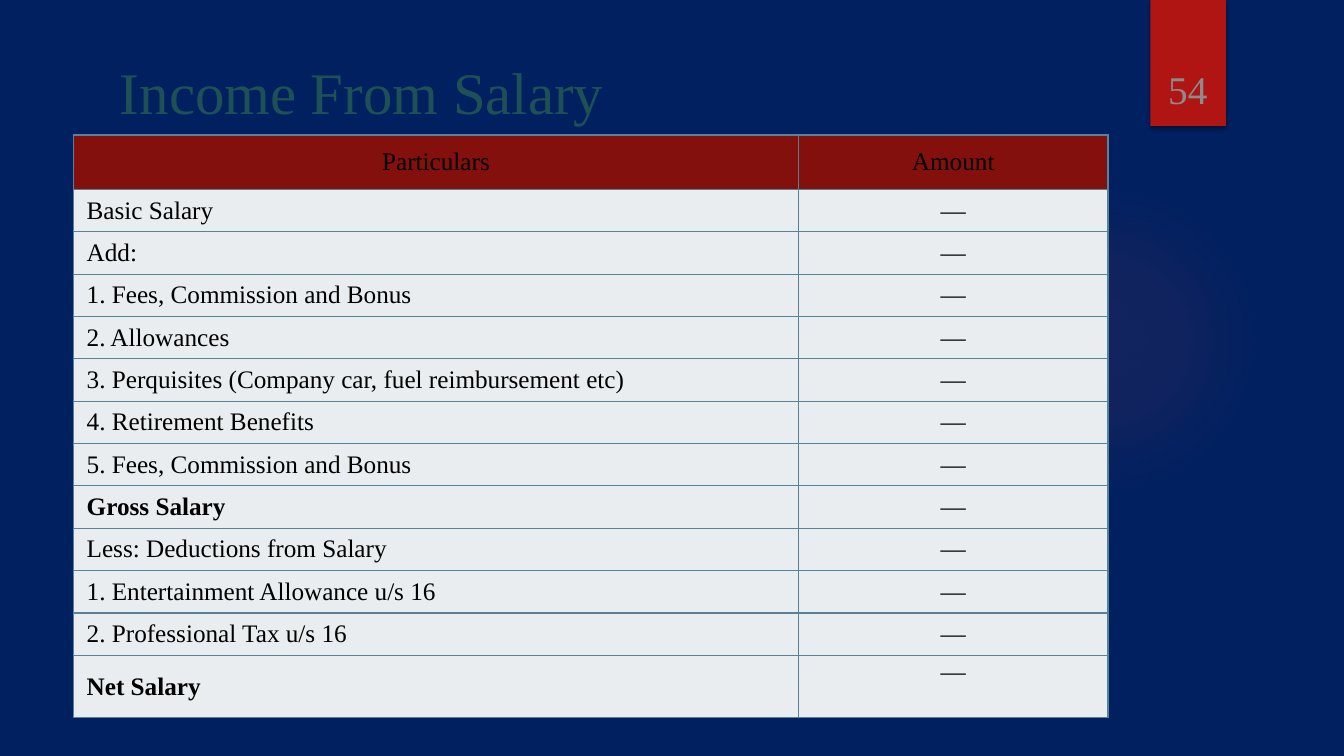
from lxml import etree
from pptx import Presentation
from pptx import oxml
from pptx.dml.color import RGBColor
from pptx.enum import shapes, text
from pptx.oxml.ns import nsdecls
from pptx.util import Inches, Pt

FONT = "Times New Roman"
COLORS = {
    "background": "002060",
    "glow": "ED5654",
    "ribbon": "B01513",
    "number": "8C8C8C",
    "title": "1E5155",
    "header": "84100E",
    "body": "E9EDEF",
    "border": "54849A",
    "text": "000000",
}
DASH = "—"
PARTICULARS = [
    "Basic Salary",
    "Add:",
    "1. Fees, Commission and Bonus",
    "2. Allowances",
    "3. Perquisites (Company car, fuel reimbursement etc)",
    "4. Retirement Benefits",
    "5. Fees, Commission and Bonus",
    "Gross Salary",
    "Less: Deductions from Salary",
    "1. Entertainment Allowance u/s 16",
    "2. Professional Tax u/s 16",
    "Net Salary",
]
TOTALS = ("Gross Salary", "Net Salary")


def color(name):
    return RGBColor.from_string(COLORS[name])


def place(shape, left, top, width, height):
    shape.left, shape.top = Inches(left), Inches(top)
    shape.width, shape.height = Inches(width), Inches(height)


def write(frame, content, size=18, ink="text", bold=False, align=text.PP_ALIGN.LEFT):
    paragraph = frame.paragraphs[0]
    paragraph.alignment = align
    run = paragraph.add_run()
    run.text = content
    run.font.name, run.font.size, run.font.bold = FONT, Pt(size), bold
    run.font.color.rgb = color(ink)


def add_plain_shape(slide, kind, left, top, width, height, fill):
    shape = slide.shapes.add_shape(
        kind, Inches(left), Inches(top), Inches(width), Inches(height))
    shape.shadow.inherit = False
    shape.fill.solid()
    shape.fill.fore_color.rgb = color(fill)
    shape.line.fill.background()
    return shape


def add_glow(slide, left, top, size):
    """Add a circle that fades out from its centre."""
    glow = add_plain_shape(slide, shapes.MSO_SHAPE.OVAL, left, top, size, size, "glow")
    stops = "".join(
        f'<a:gs pos="{position * 1000}"><a:srgbClr val="{COLORS["glow"]}">'
        f'<a:alpha val="{alpha * 1000}"/></a:srgbClr></a:gs>'
        for position, alpha in ((0, 7), (36, 6), (69, 0), (100, 0)))
    gradient = oxml.parse_xml(
        f'<a:gradFill {nsdecls("a")}><a:gsLst>{stops}</a:gsLst><a:path path="circle">'
        '<a:fillToRect l="50000" t="50000" r="50000" b="50000"/></a:path></a:gradFill>')
    properties = glow.element.spPr
    properties.replace(properties.find("{*}solidFill"), gradient)


def add_page_ribbon(slide, left, top, width, height, number):
    ribbon = add_plain_shape(
        slide, shapes.MSO_SHAPE.RECTANGLE, left, top, width, height, "ribbon")
    ribbon.element.spPr.find("{*}effectLst").append(oxml.parse_xml(
        f'<a:outerShdw {nsdecls("a")} blurRad="{Pt(3)}" dist="{Pt(2)}" dir="5400000">'
        f'<a:srgbClr val="{COLORS["text"]}"><a:alpha val="45000"/></a:srgbClr></a:outerShdw>'))
    box = slide.shapes.add_textbox(
        Inches(left - 0.09), Inches(top + 0.32), Inches(width + 0.17), Inches(0.84))
    box.text_frame.word_wrap = True
    box.text_frame.vertical_anchor = text.MSO_ANCHOR.BOTTOM
    write(box.text_frame, number, size=28, ink="number", align=text.PP_ALIGN.CENTER)


def add_title(slide, left, top, width, height, content):
    title = slide.shapes.title
    place(title, left, top, width, height)
    title.text_frame.vertical_anchor = text.MSO_ANCHOR.TOP
    write(title.text_frame, content, size=42, ink="title")


def add_borders(cell):
    properties = cell._tc.get_or_add_tcPr()
    for position, side in enumerate(("lnL", "lnR", "lnT", "lnB")):
        line = oxml.parse_xml(
            f'<a:{side} {nsdecls("a")} w="{Pt(1)}"><a:solidFill>'
            f'<a:srgbClr val="{COLORS["border"]}"/></a:solidFill></a:{side}>')
        properties.insert(position, line)


def format_cell(cell, content, fill, margins=(0.13, 0.06),
                anchor=text.MSO_ANCHOR.MIDDLE, **font):
    cell.margin_left = cell.margin_right = Inches(margins[0])
    cell.margin_top = cell.margin_bottom = Inches(margins[1])
    cell.vertical_anchor = anchor
    cell.fill.solid()
    cell.fill.fore_color.rgb = color(fill)
    add_borders(cell)
    write(cell.text_frame, content, **font)


def add_salary_table(slide, left, top, widths, heights):
    table = slide.shapes.add_table(
        len(heights), len(widths), Inches(left), Inches(top),
        Inches(sum(widths)), Inches(sum(heights))).table
    for column, width in zip(table.columns, widths):
        column.width = Inches(width)
    for row, height in zip(table.rows, heights):
        row.height = Inches(height)
    center = text.PP_ALIGN.CENTER
    for column, heading in enumerate(("Particulars", "Amount")):
        format_cell(table.cell(0, column), heading, "header",
                    margins=(0.13, 0.12), align=center)
    for row, particular in enumerate(PARTICULARS, 1):
        format_cell(table.cell(row, 0), particular, "body", bold=particular in TOTALS)
        amount = {"align": center}
        if row == len(PARTICULARS):
            amount.update(margins=(0.06, 0.03), anchor=text.MSO_ANCHOR.TOP)
        format_cell(table.cell(row, 1), DASH, "body", **amount)


def main():
    presentation = Presentation()
    presentation.slide_width, presentation.slide_height = Inches(13.33), Inches(7.5)
    slide = presentation.slides.add_slide(presentation.slide_layouts[5])
    slide.background.fill.solid()
    slide.background.fill.fore_color.rgb = color("background")
    add_glow(slide, 9.41, 1.83, 3.08)
    add_page_ribbon(slide, 11.41, 0, 0.75, 1.25, "54")
    add_title(slide, 1.09, 0.5, 9.9, 1.06, "Income From Salary")
    body_heights = [0.41] * (len(PARTICULARS) - 1)
    add_salary_table(slide, 0.73, 1.34, (7.19, 3.07), [0.54, *body_heights, 0.62])
    presentation.save("out.pptx")


if __name__ == "__main__":
    main()
